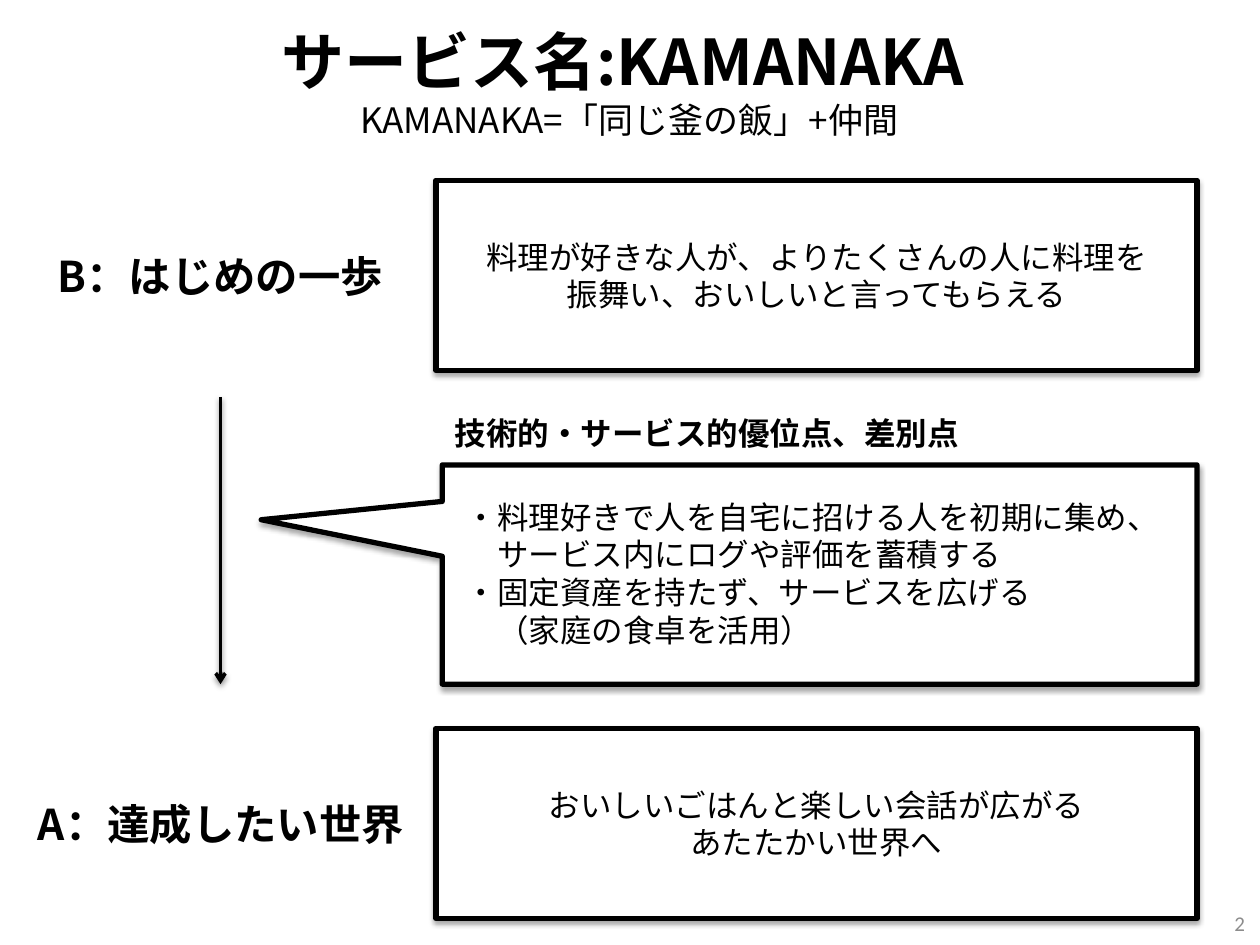
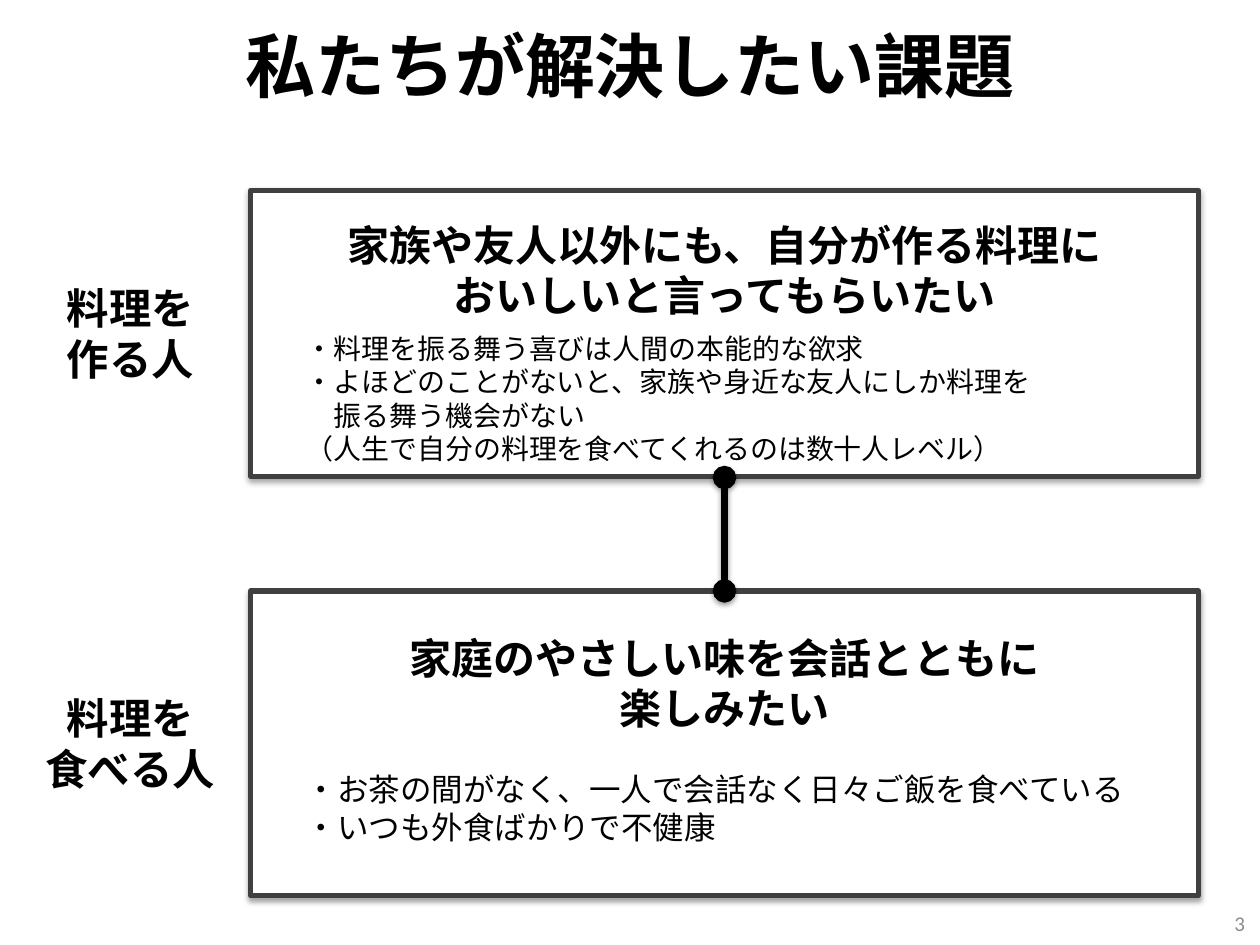
from lxml import etree
from pptx import Presentation
from pptx.dml.color import RGBColor
from pptx.enum.shapes import MSO_CONNECTOR, MSO_SHAPE
from pptx.enum.text import MSO_ANCHOR, MSO_AUTO_SIZE, PP_ALIGN
from pptx.oxml.ns import qn
from pptx.util import Inches, Pt

RECTANGLE = MSO_SHAPE.RECTANGLE
CALLOUT = MSO_SHAPE.RECTANGULAR_CALLOUT
STRAIGHT = MSO_CONNECTOR.STRAIGHT
TOP, MIDDLE = MSO_ANCHOR.TOP, MSO_ANCHOR.MIDDLE
LEFT, CENTER, RIGHT = PP_ALIGN.LEFT, PP_ALIGN.CENTER, PP_ALIGN.RIGHT
NO_AUTOFIT = MSO_AUTO_SIZE.NONE

TITLE_ONLY = 5
BODY_FONT = "Noto Sans CJK JP"
NUMBER_FONT = "Calibri"
BLACK, WHITE, DARK_GRAY, NUMBER_GRAY = "000000", "FFFFFF", "404040", "8C8C8C"
LABEL_SIZE = 24.2


def color(hex_value):
    """Turn a hex string into a colour."""
    return RGBColor.from_string(hex_value)


def add_shadow(shape, distance, opacity):
    """Give a shape or connector a soft shadow that falls straight down."""
    properties = shape._element.spPr
    effects = properties.find(qn("a:effectLst"))
    if effects is None:
        effects = etree.SubElement(properties, qn("a:effectLst"))
    shadow = etree.SubElement(effects, qn("a:outerShdw"), blurRad=str(Pt(3.1)),
                              dist=str(Pt(distance)), dir="5400000", rotWithShape="0")
    shadow_color = etree.SubElement(shadow, qn("a:srgbClr"), val=BLACK)
    etree.SubElement(shadow_color, qn("a:alpha"), val=str(opacity * 1000))


def write_lines(shape, lines, size, bold=False, align=LEFT, anchor=TOP,
                hex_value=BLACK, font=BODY_FONT, indented=()):
    """Write one paragraph per line, indenting the listed continuation lines."""
    frame = shape.text_frame
    frame.word_wrap = True
    frame.auto_size = NO_AUTOFIT
    frame.vertical_anchor = anchor
    frame.text = "\n".join(lines)
    for index, paragraph in enumerate(frame.paragraphs):
        paragraph.alignment = align
        if index in indented:
            paragraph._p.get_or_add_pPr().set("marL", str(Pt(size)))
        for run in paragraph.runs:
            run.font.name = font
            run.font.size = Pt(size)
            run.font.bold = bold
            run.font.color.rgb = color(hex_value)
            east_asian = etree.Element(qn("a:ea"), typeface=font)
            run.font._element.find(qn("a:latin")).addnext(east_asian)


def add_text(slide, left, top, width, height, lines, size, **style):
    """Add a text box."""
    box = slide.shapes.add_textbox(Inches(left), Inches(top), Inches(width), Inches(height))
    write_lines(box, lines, size, **style)


def add_label(slide, left, top, width, lines):
    """Add a bold row label to the left of a panel."""
    add_text(slide, left, top, width, 0.83, lines, LABEL_SIZE,
             bold=True, align=CENTER, anchor=MIDDLE)


def add_panel(slide, left, top, width, height, line=BLACK, kind=RECTANGLE):
    """Add a white outlined panel with a shadow."""
    panel = slide.shapes.add_shape(kind, Inches(left), Inches(top),
                                   Inches(width), Inches(height))
    panel.fill.solid()
    panel.fill.fore_color.rgb = color(WHITE)
    panel.line.color.rgb = color(line)
    panel.line.width = Pt(3)
    panel.shadow.inherit = False
    add_shadow(panel, 1.8, 35)
    return panel


def add_vertical_line(slide, x, top, bottom, width, head, tail):
    """Add a vertical connector with the given line ends."""
    connector = slide.shapes.add_connector(STRAIGHT, Inches(x), Inches(top),
                                           Inches(x), Inches(bottom))
    connector.line.color.rgb = color(BLACK)
    connector.line.width = Pt(width)
    line = connector.line._get_or_add_ln()
    etree.SubElement(line, qn("a:headEnd"), type=head)
    etree.SubElement(line, qn("a:tailEnd"), type=tail)
    add_shadow(connector, 1.6, 38)


def add_titled_slide(presentation, title, size, left, height, number):
    """Add a slide with its title and slide number."""
    slide = presentation.slides.add_slide(presentation.slide_layouts[TITLE_ONLY])
    heading = slide.shapes.title
    heading.left, heading.top = Inches(left), Inches(0.13)
    heading.width, heading.height = Inches(9), Inches(height)
    write_lines(heading, [title], size, bold=True, align=CENTER)
    add_text(slide, 7.65, 7.13, 2.33, 0.4, [str(number)], 12, align=RIGHT,
             anchor=MIDDLE, hex_value=NUMBER_GRAY, font=NUMBER_FONT)
    return slide


def build_service_slide(presentation):
    """Show the service name, its first step, its advantages and its goal."""
    slide = add_titled_slide(presentation, "サービス名:KAMANAKA", 36, 0.44, 0.77, 2)
    add_text(slide, 1.42, 0.69, 7.15, 0.52, ["KAMANAKA=「同じ釜の飯」+仲間"], 20,
             align=CENTER, anchor=MIDDLE)
    stages = [
        (1.43, 1.77, 0.29, 2.92, "B：はじめの一歩",
         ["料理が好きな人が、よりたくさんの人に料理を", "振舞い、おいしいと言ってもらえる"]),
        (5.78, 6.12, 0.18, 3.15, "A：達成したい世界",
         ["おいしいごはんと楽しい会話が広がる", "あたたかい世界へ"]),
    ]
    for panel_top, label_top, label_left, label_width, label, lines in stages:
        panel = add_panel(slide, 3.46, panel_top, 6.04, 1.51)
        write_lines(panel, lines, 18, align=CENTER, anchor=MIDDLE)
        add_label(slide, label_left, label_top, label_width, [label])
    add_vertical_line(slide, 1.75, 3.15, 5.43, 2, "none", "arrow")
    callout = add_panel(slide, 3.51, 3.69, 5.99, 1.74, kind=CALLOUT)
    callout.adjustments[0] = -0.74
    callout.adjustments[1] = -0.25
    add_text(slide, 3.51, 3.24, 5.34, 0.4, ["技術的・サービス的優位点、差別点"], 18, bold=True)
    add_text(slide, 3.6, 3.9, 6.07, 1.31,
             ["・料理好きで人を自宅に招ける人を初期に集め、",
              "サービス内にログや評価を蓄積する",
              "・固定資産を持たず、サービスを広げる",
              "（家庭の食卓を活用）"], 18, indented=(1, 3))


def build_problem_slide(presentation):
    """Show the needs of the people who cook and the people who eat."""
    slide = add_titled_slide(presentation, "私たちが解決したい課題", 40, 0.5, 1.07, 3)
    needs = [
        (1.51, 2.27, 2.23, ["料理を", "作る人"], 1.69,
         ["家族や友人以外にも、自分が作る料理に", "おいしいと言ってもらいたい"]),
        (4.69, 2.42, 5.48, ["料理を", "食べる人"], 4.97,
         ["家庭のやさしい味を会話とともに", "楽しみたい"]),
    ]
    for panel_top, height, label_top, label, need_top, need in needs:
        add_panel(slide, 1.99, panel_top, 7.52, height, line=DARK_GRAY)
        add_label(slide, 0.08, label_top, 1.91, label)
        add_text(slide, 2.21, need_top, 7.08, 0.91, need, 24, bold=True, align=CENTER)
    add_vertical_line(slide, 5.75, 3.79, 4.69, 4.5, "oval", "oval")
    add_text(slide, 2.33, 2.58, 6.93, 1.18,
             ["・料理を振る舞う喜びは人間の本能的な欲求",
              "・よほどのことがないと、家族や身近な友人にしか料理を",
              "振る舞う機会がない",
              "（人生で自分の料理を食べてくれるのは数十人レベル）"], 16, indented=(2,))
    add_text(slide, 2.33, 6.06, 6.93, 0.71,
             ["・お茶の間がなく、一人で会話なく日々ご飯を食べている",
              "・いつも外食ばかりで不健康"], 18)


def main():
    """Build and save the presentation."""
    presentation = Presentation()
    presentation.slide_width = Inches(10)
    presentation.slide_height = Inches(7.5)
    build_service_slide(presentation)
    build_problem_slide(presentation)
    presentation.save("out.pptx")


if __name__ == "__main__":
    main()
